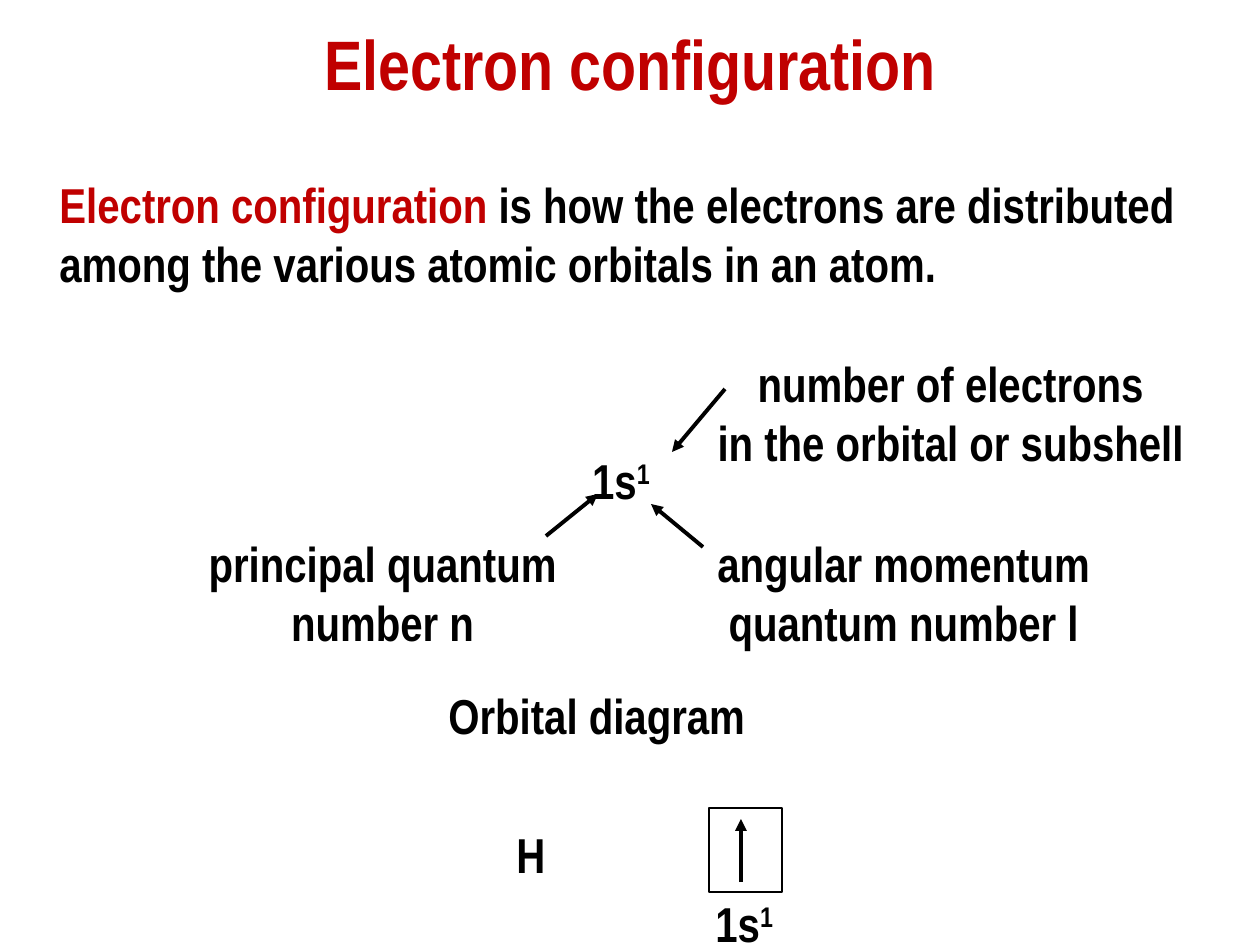
from dataclasses import dataclass

from lxml.etree import SubElement
from pptx import Presentation
from pptx.dml.color import RGBColor
from pptx.enum.shapes import MSO_CONNECTOR, MSO_SHAPE
from pptx.enum.text import MSO_ANCHOR, MSO_AUTO_SIZE, PP_ALIGN
from pptx.oxml.ns import qn
from pptx.util import Pt


@dataclass(frozen=True)
class Theme:
    font: str = "Arial Narrow"
    title_size: int = 40
    body_size: int = 28
    accent: str = "C00000"
    ink: str = "000000"
    paper: str = "FFFFFF"
    arrow_width: float = 2.25
    box_width: float = 1.5


THEME = Theme()
EMU_PER_PX = 914400 / 126
SLIDE_SIZE = (1260, 945)

# Boxes are left, top, width, height in px; a run is text, colour, superscript.
TITLE = ("Electron configuration", (0, 14, 1260, 84))
DEFINITION = (
    [[("Electron configuration ", THEME.accent, False),
      ("is how the electrons are distributed among the various atomic "
       "orbitals in an atom.", THEME.ink, False)]],
    (47, 168, 1165, 131),
)
NOTATION = [[("1s", THEME.ink, False), ("1", THEME.ink, True)]]
LABELS = [
    (NOTATION, (578, 444, 86, 72), PP_ALIGN.CENTER),
    (["principal quantum", "number n"], (194, 527, 377, 131), PP_ALIGN.CENTER),
    (["angular momentum", "quantum number l"], (703, 527, 401, 131), PP_ALIGN.CENTER),
    (["number of electrons", "in the orbital or subshell"],
     (703, 347, 495, 131), PP_ALIGN.CENTER),
    (["Orbital diagram"], (436, 679, 325, 72), PP_ALIGN.LEFT),
    (["H"], (504, 818, 55, 72), PP_ALIGN.LEFT),
    (NOTATION, (703, 887, 86, 72), PP_ALIGN.LEFT),
]
ORBITAL_BOX = (709, 808, 73, 84)
ARROWS = [  # start, end
    ((546, 536), (598, 494)),
    ((703, 547), (651, 504)),
    ((725, 389), (672, 452)),
    ((741, 882), (741, 819)),
]


def emu(lengths):
    return [round(length * EMU_PER_PX) for length in lengths]


def color(value):
    return RGBColor.from_string(value)


def write_text(frame, paragraphs, *, size=THEME.body_size, ink=THEME.ink,
               align=PP_ALIGN.LEFT, wrap=True, auto_size=MSO_AUTO_SIZE.SHAPE_TO_FIT_TEXT):
    """Fill a frame with paragraphs, each a string or a list of runs."""
    frame.word_wrap = wrap
    frame.auto_size = auto_size
    frame.vertical_anchor = MSO_ANCHOR.TOP
    for index, content in enumerate(paragraphs):
        paragraph = frame.add_paragraph() if index else frame.paragraphs[0]
        paragraph.alignment = align
        runs = [(content, ink, False)] if isinstance(content, str) else content
        for text, run_color, superscript in runs:
            run = paragraph.add_run()
            run.text = text
            run.font.name = THEME.font
            run.font.size = Pt(size)
            run.font.bold = True
            run.font.color.rgb = color(run_color)
            if superscript:
                run.font._element.set("baseline", "30000")


def add_text(slide, paragraphs, box, **text_format):
    shape = slide.shapes.add_textbox(*emu(box))
    write_text(shape.text_frame, paragraphs, **text_format)


def add_arrow(slide, start, end):
    arrow = slide.shapes.add_connector(MSO_CONNECTOR.STRAIGHT, *emu(start + end))
    arrow.line.color.rgb = color(THEME.ink)
    arrow.line.width = Pt(THEME.arrow_width)
    SubElement(arrow.line._get_or_add_ln(), qn("a:tailEnd"), type="triangle")
    SubElement(arrow._element.spPr, qn("a:effectLst"))


def add_orbital_box(slide):
    shape = slide.shapes.add_shape(MSO_SHAPE.RECTANGLE, *emu(ORBITAL_BOX))
    shape.shadow.inherit = False
    shape.fill.solid()
    shape.fill.fore_color.rgb = color(THEME.paper)
    shape.line.color.rgb = color(THEME.ink)
    shape.line.width = Pt(THEME.box_width)


def add_title(slide):
    text, box = TITLE
    title = slide.shapes.title
    title.left, title.top, title.width, title.height = emu(box)
    write_text(title.text_frame, [text], size=THEME.title_size, ink=THEME.accent,
               align=PP_ALIGN.CENTER, auto_size=MSO_AUTO_SIZE.NONE)


def main():
    presentation = Presentation()
    presentation.slide_width, presentation.slide_height = emu(SLIDE_SIZE)
    slide = presentation.slides.add_slide(presentation.slide_layouts[5])
    add_title(slide)
    add_text(slide, *DEFINITION)
    for paragraphs, box, align in LABELS:
        add_text(slide, paragraphs, box, align=align, wrap=False)
    add_orbital_box(slide)
    for start, end in ARROWS:
        add_arrow(slide, start, end)
    presentation.save("out.pptx")


if __name__ == "__main__":
    main()
